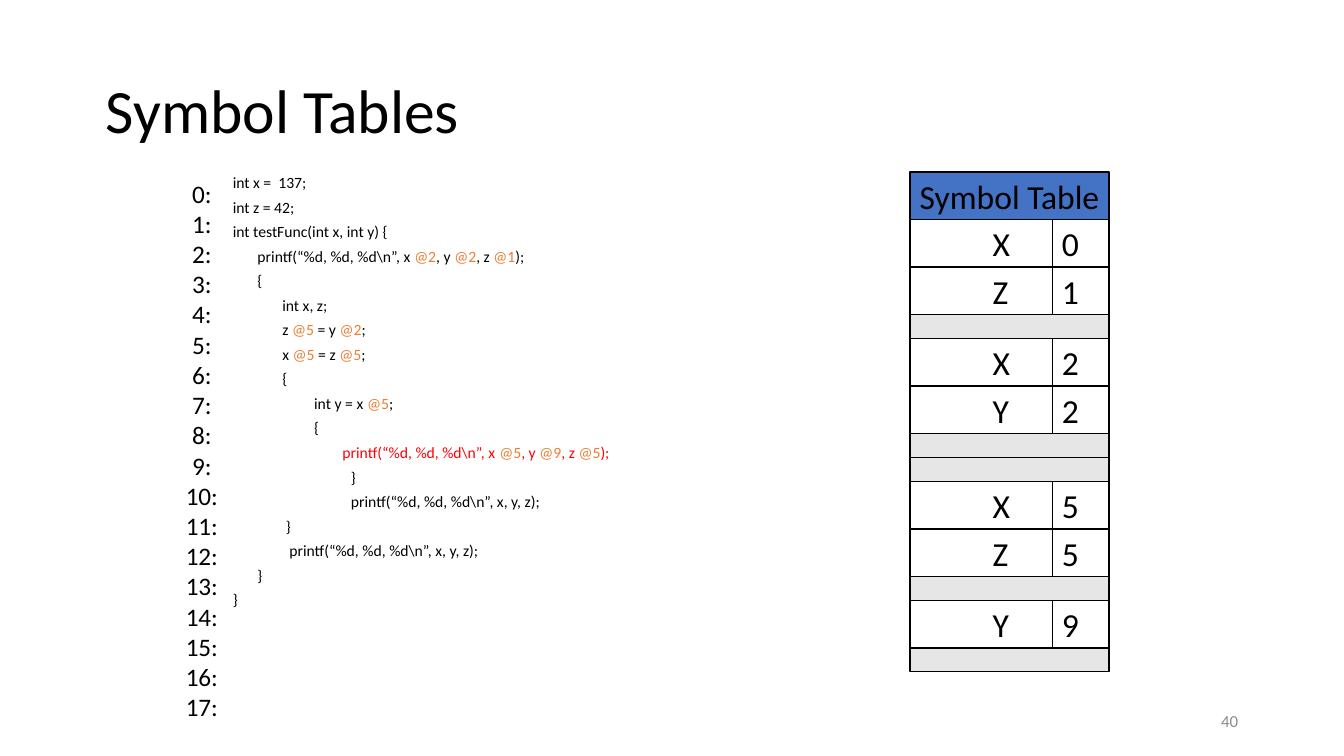
import pptx
import pptx.dml.color
import pptx.enum.shapes
import pptx.enum.text
import pptx.oxml.ns
import pptx.util
from lxml import etree

Cm = pptx.util.Cm
Pt = pptx.util.Pt
ALIGN = pptx.enum.text.PP_ALIGN
ANCHOR = pptx.enum.text.MSO_ANCHOR

COLOURS = {
    "text": "000000",
    "reference": "ED7D31",
    "current": "FF0000",
    "header": "4472C4",
    "entry": "FFFFFF",
    "scope": "E7E6E6",
    "border": "000000",
    "page": "8C8C8C",
}

CODE = [
    "int x =  137;",
    "int z = 42;",
    "int testFunc(int x, int y) {",
    "       printf(“%d, %d, %d\\n”, x @2, y @2, z @1);",
    "       {",
    "              int x, z;",
    "              z @5 = y @2;",
    "              x @5 = z @5;",
    "              {",
    "                       int y = x @5;",
    "                       {",
    "                               printf(“%d, %d, %d\\n”, x @5, y @9, z @5);",
    "\t     }",
    "\t     printf(“%d, %d, %d\\n”, x, y, z);",
    "               }",
    "                printf(“%d, %d, %d\\n”, x, y, z);",
    "       }",
    "}",
]
CURRENT_LINE = 11

# None marks the boundary of a scope
SYMBOLS = [("X", 0), ("Z", 1), None, ("X", 2), ("Y", 2), None, None,
           ("X", 5), ("Z", 5), None, ("Y", 9), None]
TABLE_LEFT, TABLE_TOP, TABLE_WIDTH = 17.2, 3.25, 3.76
ROW_HEIGHT = 0.9
DIVIDER_X = 19.89


def rgb(name):
    return pptx.dml.color.RGBColor.from_string(COLOURS[name])


def add_tab_stop(paragraph, position):
    properties = paragraph._p.get_or_add_pPr()
    tabs = etree.SubElement(properties, pptx.oxml.ns.qn("a:tabLst"))
    tab = etree.SubElement(tabs, pptx.oxml.ns.qn("a:tab"))
    tab.set("pos", str(int(Cm(position))))
    tab.set("algn", "l")


class SlideBuilder:
    font_name = "Calibri"
    line_width = 0.75

    def __init__(self, slide):
        self.slide = slide

    def style_run(self, run, size, colour):
        run.font.name = self.font_name
        run.font.size = Pt(size)
        run.font.color.rgb = rgb(colour)

    def style_line(self, line):
        line.color.rgb = rgb("border")
        line.width = Pt(self.line_width)

    def text_box(self, left, top, width, height, lines, size, colour="text",
                 align=ALIGN.LEFT, anchor=ANCHOR.TOP):
        shape = self.slide.shapes.add_textbox(Cm(left), Cm(top), Cm(width), Cm(height))
        frame = shape.text_frame
        frame.word_wrap = True
        frame.vertical_anchor = anchor
        frame.text = "\n".join(lines)
        for paragraph in frame.paragraphs:
            paragraph.alignment = align
            for run in paragraph.runs:
                self.style_run(run, size, colour)
        return frame

    def code(self, left, top, width, height, lines, size):
        """Write code lines, with each @ reference and the current line coloured."""
        frame = self.text_box(left, top, width, height, [""] * len(lines), size)
        for number, (paragraph, line) in enumerate(zip(frame.paragraphs, lines)):
            paragraph.line_spacing = 0.7
            paragraph.space_after = Pt(6.12)
            add_tab_stop(paragraph, 1.9)
            base = "current" if number == CURRENT_LINE else "text"
            start, *references = line.split("@")
            pieces = [(start, base)]
            for reference in references:
                pieces += [("@" + reference[0], "reference"), (reference[1:], base)]
            for text, colour in pieces:
                run = paragraph.add_run()
                run.text = text
                self.style_run(run, size, colour)

    def box(self, top, height, fill, text="", align=ALIGN.CENTER, inset=0.18,
            tab_stop=None):
        """Draw one full-width row of the symbol table."""
        shape = self.slide.shapes.add_shape(
            pptx.enum.shapes.MSO_SHAPE.RECTANGLE,
            Cm(TABLE_LEFT), Cm(top), Cm(TABLE_WIDTH), Cm(height))
        shape.shadow.inherit = False
        shape.fill.solid()
        shape.fill.fore_color.rgb = rgb(fill)
        self.style_line(shape.line)
        if not text:
            return
        frame = shape.text_frame
        frame.word_wrap = True
        frame.vertical_anchor = ANCHOR.MIDDLE
        frame.margin_left = Cm(inset)
        frame.margin_right = frame.margin_top = frame.margin_bottom = Cm(0.1)
        frame.text = text
        paragraph = frame.paragraphs[0]
        paragraph.alignment = align
        if tab_stop:
            add_tab_stop(paragraph, tab_stop)
        for run in paragraph.runs:
            self.style_run(run, 18, "text")

    def divider(self, top, height):
        line = self.slide.shapes.add_connector(
            pptx.enum.shapes.MSO_CONNECTOR.STRAIGHT,
            Cm(DIVIDER_X), Cm(top), Cm(DIVIDER_X), Cm(top + height))
        self.style_line(line.line)
        etree.SubElement(line._element.spPr, pptx.oxml.ns.qn("a:effectLst"))

    def symbol_table(self, title, symbols):
        self.box(TABLE_TOP, ROW_HEIGHT, "header", title, inset=0.1)
        top = TABLE_TOP + ROW_HEIGHT
        for symbol in symbols:
            height = ROW_HEIGHT if symbol else ROW_HEIGHT / 2
            if symbol:
                name, value = symbol
                self.box(top, height, "entry", f"{name}\t{value}",
                         ALIGN.LEFT, inset=1.56, tab_stop=1.31)
                self.divider(top, height)
            else:
                self.box(top, height, "scope")
            top += height


def main():
    presentation = pptx.Presentation()
    presentation.slide_width = Cm(25.4)
    presentation.slide_height = Cm(14.29)
    builder = SlideBuilder(presentation.slides.add_slide(presentation.slide_layouts[6]))

    title = builder.text_box(1.75, 0.76, 21.9, 2.77, ["Symbol Tables"], 33,
                             anchor=ANCHOR.MIDDLE)
    title.paragraphs[0].line_spacing = 0.9
    builder.code(4.15, 3.24, 16.2, 8.59, CODE, 8.4)
    builder.text_box(3.18, 3.24, 1.27, 10.64,
                     [f"{number}:" for number in range(len(CODE))], 13.5,
                     align=ALIGN.CENTER)
    builder.symbol_table("Symbol Table", SYMBOLS)
    builder.text_box(17.93, 13.24, 5.72, 0.76, ["40"], 9, "page",
                     ALIGN.RIGHT, ANCHOR.MIDDLE)
    presentation.save("out.pptx")


if __name__ == "__main__":
    main()
